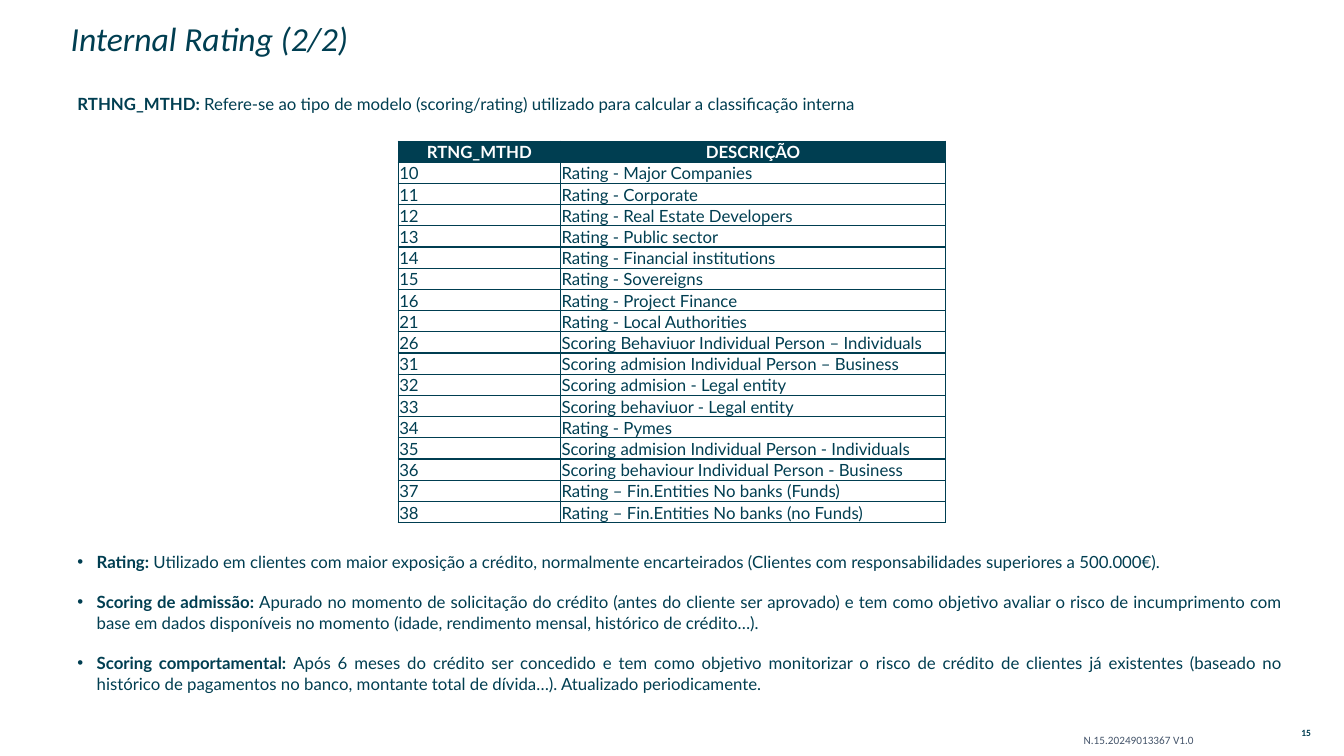
from lxml import etree
from pptx import Presentation
from pptx.dml.color import RGBColor
from pptx.enum import text as t
from pptx.oxml import ns
from pptx.util import Inches, Pt

TEAL = RGBColor(0x00, 0x3E, 0x51)
SLATE = RGBColor(0x44, 0x54, 0x6A)
WHITE = RGBColor(0xFF, 0xFF, 0xFF)
MID = t.MSO_ANCHOR.MIDDLE

INTRO = [("RTHNG_MTHD: ", "Refere-se ao tipo de modelo (scoring/rating) utilizado "
          "para calcular a classificação interna")]
HEADS = ("RTNG_MTHD", "DESCRIÇÃO")
METHODS = [
    ("10", "Rating - Major Companies"),
    ("11", "Rating - Corporate"),
    ("12", "Rating - Real Estate Developers"),
    ("13", "Rating - Public sector"),
    ("14", "Rating - Financial institutions"),
    ("15", "Rating - Sovereigns"),
    ("16", "Rating - Project Finance"),
    ("21", "Rating - Local Authorities"),
    ("26", "Scoring Behaviuor Individual Person – Individuals"),
    ("31", "Scoring admision Individual Person – Business"),
    ("32", "Scoring admision - Legal entity"),
    ("33", "Scoring behaviuor - Legal entity"),
    ("34", "Rating - Pymes"),
    ("35", "Scoring admision Individual Person - Individuals"),
    ("36", "Scoring behaviour Individual Person - Business"),
    ("37", "Rating – Fin.Entities No banks (Funds)"),
    ("38", "Rating – Fin.Entities No banks (no Funds)"),
]
NOTES = [
    ("Rating:", " Utilizado em clientes com maior exposição a crédito, normalmente "
     "encarteirados (Clientes com responsabilidades superiores a 500.000€)."),
    ("Scoring de admissão: ", "Apurado no momento de solicitação do crédito (antes do "
     "cliente ser aprovado) e tem como objetivo avaliar o risco de incumprimento com base "
     "em dados disponíveis no momento (idade, rendimento mensal, histórico de crédito…)."),
    ("Scoring comportamental: ", "Após 6 meses do crédito ser concedido e tem como objetivo "
     "monitorizar o risco de crédito de clientes já existentes (baseado no histórico de "
     "pagamentos no banco, montante total de dívida…). Atualizado periodicamente."),
]


def style(font, size, color, name="Lato", bold=False, italic=False):
    font.name, font.size, font.bold, font.italic = name, Pt(size), bold, italic
    font.color.rgb = color


def place(shape, box):
    shape.left, shape.top, shape.width, shape.height = map(Inches, box)


def add_box(slide, box):
    frame = slide.shapes.add_textbox(*map(Inches, box)).text_frame
    frame.word_wrap = True
    return frame


def add_title(slide, box, words):
    title = slide.shapes.title
    place(title, box)
    frame = title.text_frame
    frame.text = words
    frame.word_wrap = True
    frame.auto_size = t.MSO_AUTO_SIZE.NONE
    frame.vertical_anchor = MID
    para = frame.paragraphs[0]
    para.alignment = t.PP_ALIGN.LEFT
    para.line_spacing = 0.9
    para.space_before = Pt(0)
    style(para.font, 24, TEAL, "Calibri", italic=True)


def add_bullet(para):
    props = para._p.get_or_add_pPr()
    props.set("marL", str(Inches(0.19)))
    props.set("indent", str(-Inches(0.19)))
    etree.SubElement(props, ns.qn("a:buFont"), typeface="Arial")
    etree.SubElement(props, ns.qn("a:buChar"), char="•")


def add_terms(slide, box, terms, bullets=False):
    """Paragraphs that open with a bold term."""
    frame = add_box(slide, box)
    for i, (term, words) in enumerate(terms):
        para = frame.add_paragraph() if i else frame.paragraphs[0]
        para.alignment = t.PP_ALIGN.JUSTIFY
        para.line_spacing = 1.07
        para.space_before = Pt(4.9 if i else 0)
        para.space_after = Pt(8)
        if bullets:
            add_bullet(para)
        for part, bold in ((term, True), (words, False)):
            run = para.add_run()
            run.text = part
            style(run.font, 12, TEAL, bold=bold)


def add_border(cell):
    props = cell._tc.get_or_add_tcPr()
    for side in ("lnL", "lnR", "lnT", "lnB"):
        line = etree.SubElement(props, ns.qn("a:" + side), w=str(Pt(1)))
        fill = etree.SubElement(line, ns.qn("a:solidFill"))
        etree.SubElement(fill, ns.qn("a:srgbClr"), val=str(TEAL))


def add_grid(slide, box, rows, widths):
    grid = slide.shapes.add_table(len(rows), len(widths), *map(Inches, box)).table
    grid.horz_banding = False
    for col, width in zip(grid.columns, widths):
        col.width = Inches(width)
    for r, row in enumerate(rows):
        head = r == 0
        for c, words in enumerate(row):
            cell = grid.cell(r, c)
            cell.text = words
            cell.vertical_anchor = t.MSO_ANCHOR.BOTTOM
            cell.margin_left = cell.margin_right = cell.margin_top = Inches(0.01)
            cell.margin_bottom = 0
            add_border(cell)
            if head:
                cell.fill.solid()
                cell.fill.fore_color.rgb = TEAL
            else:
                cell.fill.background()
            para = cell.text_frame.paragraphs[0]
            para.alignment = t.PP_ALIGN.CENTER if head else t.PP_ALIGN.LEFT
            style(para.font, 12, WHITE if head else TEAL, bold=head)


def add_footer(slide, box):
    """Document code at the left of the box, page number at its right."""
    left, top, width, height = box
    code = add_box(slide, (left, top, 1.56, height))
    code.text = "N.15.20249013367 V1.0"
    code.paragraphs[0].line_spacing = 0.9
    style(code.paragraphs[0].font, 8, SLATE, "Calibri")
    page = add_box(slide, (left + width - 0.45, top, 0.45, height / 2))
    page.text = "15"
    page.margin_left = page.margin_right = Inches(0.06)
    page.margin_top = page.margin_bottom = Inches(0.03)
    page.paragraphs[0].alignment = t.PP_ALIGN.CENTER
    style(page.paragraphs[0].font, 6.8, TEAL, "Calibri", bold=True)
    code.vertical_anchor = page.vertical_anchor = MID


def main():
    deck = Presentation()
    deck.slide_width, deck.slide_height = Inches(13.33), Inches(7.5)
    slide = deck.slides.add_slide(deck.slide_layouts[5])
    add_title(slide, (0.6, 0.27, 7.95, 0.26), "Internal Rating (2/2)")
    add_terms(slide, (0.67, 0.87, 12.15, 0.53), INTRO)
    add_grid(slide, (3.95, 1.4, 5.43, 3.74), [HEADS] + METHODS, (1.61, 3.82))
    add_terms(slide, (0.67, 5.41, 12.15, 1.6), NOTES, bullets=True)
    add_footer(slide, (10.65, 7.19, 2.53, 0.32))
    deck.save("out.pptx")


if __name__ == "__main__":
    main()
